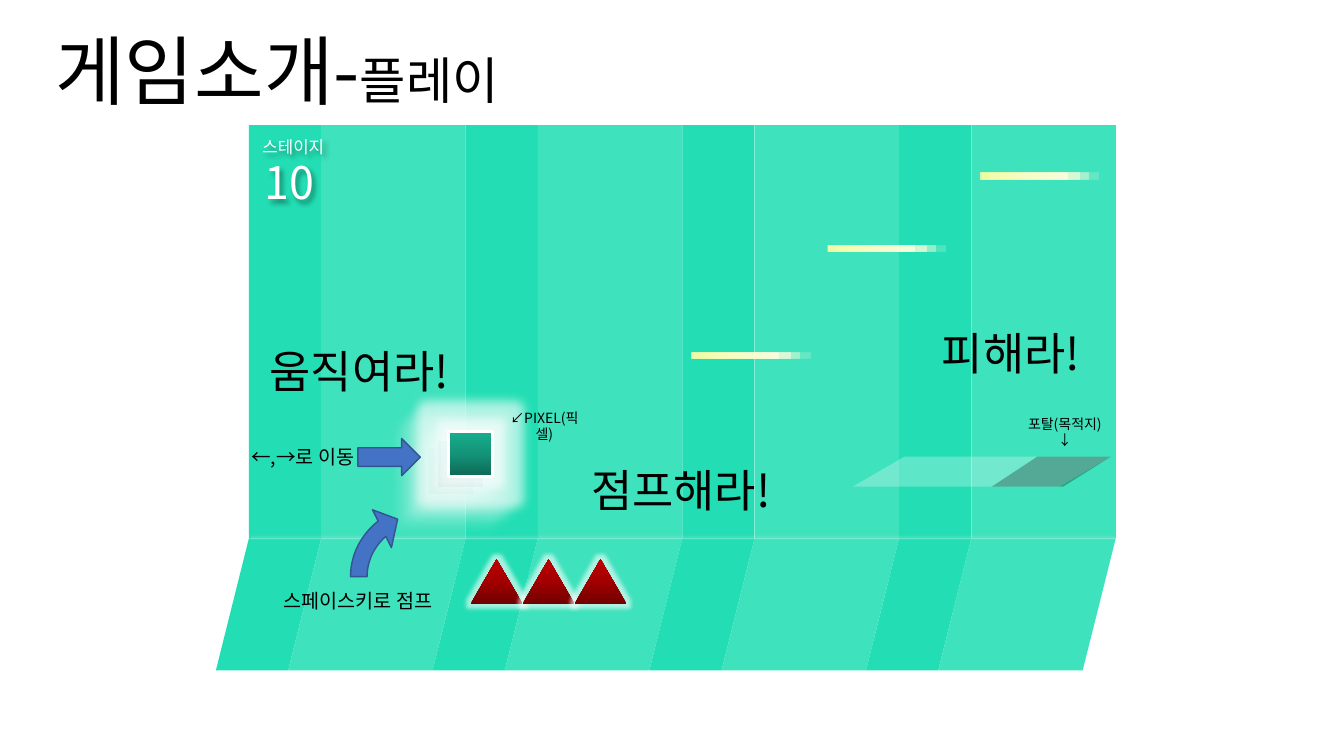
from lxml import etree
from pptx import Presentation
from pptx.dml.color import RGBColor
from pptx.enum import shapes as kinds, text
from pptx.oxml import ns
from pptx.util import Pt

FONT = "Noto Sans CJK KR"
BLACK = RGBColor(0x00, 0x00, 0x00)
WHITE = RGBColor(0xFF, 0xFF, 0xFF)
DARK_MINT = RGBColor(0x23, 0xDE, 0xB4)
LIGHT_MINT = RGBColor(0x3E, 0xE2, 0xBD)
ARROW_BLUE = RGBColor(0x44, 0x72, 0xC4)
ARROW_EDGE = RGBColor(0x32, 0x54, 0x91)
PIXEL_GREENS = (RGBColor(0x0E, 0x68, 0x54), RGBColor(0x13, 0x93, 0x77), RGBColor(0x17, 0xAF, 0x8E))
SPIKE_REDS = (RGBColor(0x72, 0x00, 0x00), RGBColor(0xA2, 0x00, 0x00), RGBColor(0xC0, 0x00, 0x00))
BEAM_YELLOWS = (RGBColor(0xFF, 0xFF, 0xA0), RGBColor(0xFF, 0xFF, 0xC5), RGBColor(0xFF, 0xFF, 0xE3))
PRESET = kinds.MSO_SHAPE


def add_color(parent, color, alpha):
    """Append a colour with its opacity in percent."""
    element = etree.SubElement(parent, ns.qn("a:srgbClr"), val=str(color))
    if alpha < 100:
        etree.SubElement(element, ns.qn("a:alpha"), val=str(alpha * 1000))


def add_effect(shape, kind, color, alpha, **settings):
    """Give a shape a glow or an outer shadow."""
    shape.shadow.inherit = False
    effects = shape._element.spPr.find(ns.qn("a:effectLst"))
    effect = etree.SubElement(effects, ns.qn("a:" + kind), {k: str(v) for k, v in settings.items()})
    add_color(effect, color, alpha)


def paint(shape, color, alpha=100):
    """Fill a shape with one colour and remove its outline and shadow."""
    shape.shadow.inherit = False
    shape.line.fill.background()
    shape.fill.solid()
    shape.fill.fore_color.rgb = color
    fill = shape._element.spPr.find(ns.qn("a:solidFill"))
    fill.remove(fill[0])
    add_color(fill, color, alpha)


def paint_gradient(shape, colors, angle, alpha=100):
    """Fill a shape with evenly spaced gradient stops."""
    shape.shadow.inherit = False
    shape.line.fill.background()
    shape.fill.gradient()
    shape.fill.gradient_angle = angle
    stops = shape._element.spPr.find(ns.qn("a:gradFill")).find(ns.qn("a:gsLst"))
    for stop in list(stops):
        stops.remove(stop)
    for index, color in enumerate(colors):
        stop = etree.SubElement(stops, ns.qn("a:gs"), pos=str(index * 50000))
        add_color(stop, color, alpha)


def add_preset(shapes, kind, left, top, width, height):
    """Add a preset shape measured in points."""
    return shapes.add_shape(kind, Pt(left), Pt(top), Pt(width), Pt(height))


def add_outline(shapes, points):
    """Add a closed polygon measured in points."""
    corners = [(Pt(x), Pt(y)) for x, y in points]
    builder = shapes.build_freeform(*corners[0], scale=1.0)
    builder.add_line_segments(corners[1:], close=True)
    return builder.convert_to_shape()


def write_runs(paragraph, runs, color):
    """Write centred runs given as wording and size."""
    paragraph.alignment = text.PP_ALIGN.CENTER
    for wording, size in runs:
        run = paragraph.add_run()
        run.text = wording
        run.font.size = Pt(size)
        run.font.name = FONT
        run.font.color.rgb = color
        etree.SubElement(run._r.get_or_add_rPr(), ns.qn("a:ea"), typeface=FONT)


def add_label(slide, box, lines, size, color=BLACK, wrap=False):
    """Add a centred label with one paragraph for each line."""
    label = slide.shapes.add_textbox(*map(Pt, box))
    frame = label.text_frame
    frame.word_wrap = wrap
    for index, line in enumerate(lines):
        paragraph = frame.add_paragraph() if index else frame.paragraphs[0]
        write_runs(paragraph, [(line, size)], color)
    return label


def add_title(slide, box):
    """Place the slide title in the given box."""
    title = slide.shapes.title
    title.left, title.top, title.width, title.height = map(Pt, box)
    title.text_frame.word_wrap = False
    title.text_frame.vertical_anchor = text.MSO_ANCHOR.TOP
    write_runs(title.text_frame.paragraphs[0], [("게임소개-", 54), ("플레이", 36)], BLACK)


def add_stage(slide, box):
    """Draw the striped wall and the slanted floor below it."""
    left, top, width, height = box
    group = slide.shapes.add_group_shape().shapes
    unit, slant = width / 12, 23.6
    floor = top + height * 0.758
    bottom = top + height
    for pair in range(4):
        start = left + pair * 3 * unit
        for x, span, color in ((start, unit, DARK_MINT), (start + unit, 2 * unit, LIGHT_MINT)):
            paint(add_preset(group, PRESET.RECTANGLE, x, top, span, floor - top), color)
            corners = [(x, floor), (x + span, floor), (x + span - slant, bottom), (x - slant, bottom)]
            paint(add_outline(group, corners), color)
    paint(add_preset(group, PRESET.RECTANGLE, left + 1.4, floor - 2, width - 1.4, 2.9), WHITE, 10)


def add_pixel(slide, box):
    """Draw the glowing player square with its fading trail."""
    left, top, width, height = box
    group = slide.shapes.add_group_shape().shapes
    for dx, dy, alpha in ((-18.7, 18.7, 5), (-13.7, 12.2, 15), (-7.2, 7.2, 25), (0, 0, 100)):
        square = add_preset(group, PRESET.RECTANGLE, left + dx, top + dy, width, height)
        paint_gradient(square, PIXEL_GREENS, 90, alpha)
        add_effect(square, "glow", WHITE, 60 if alpha == 100 else alpha, rad=Pt(14))
    square.line.color.rgb = WHITE
    square.line.width = Pt(2.25)


def add_spikes(slide, box):
    """Draw a row of three glowing red spikes."""
    left, top, width, height = box
    for index in range(3):
        spike = add_preset(slide.shapes, PRESET.ISOSCELES_TRIANGLE,
                           left + index * width / 3, top, width / 3, height)
        paint_gradient(spike, SPIKE_REDS, 90)
        add_effect(spike, "glow", WHITE, 60, rad=Pt(6))


def add_beam(slide, box):
    """Draw a yellow beam whose right end fades out."""
    left, top, width, height = box
    group = slide.shapes.add_group_shape().shapes
    for offset, span, alpha in ((7.5, 70, 40), (14.7, 70, 20), (0.7, 70, 60), (0, 62.5, 80)):
        bar = add_preset(group, PRESET.RECTANGLE, left + offset, top, width * span / 84.7, height)
        paint_gradient(bar, BEAM_YELLOWS, 0, alpha)


def add_portal(slide, box):
    """Draw the flat platform with the dark portal at its right end."""
    left, top, width, height = box
    right, bottom = left + width, top + height
    group = slide.shapes.add_group_shape().shapes
    paint(add_preset(group, PRESET.FLOWCHART_DATA, *box), WHITE, 27)
    corners = [(right - 85, bottom), (right - 52.5, top), (right, top), (right - 34, bottom)]
    paint(add_outline(group, corners), BLACK, 27)


def add_arrow(slide, kind, box, adjustments=()):
    """Draw a blue control arrow."""
    arrow = add_preset(slide.shapes, kind, *box)
    for index, value in enumerate(adjustments):
        arrow.adjustments[index] = value
    paint(arrow, ARROW_BLUE)
    arrow.line.color.rgb = ARROW_EDGE
    arrow.line.width = Pt(1)


def add_stage_counter(slide, box):
    """Write the shadowed stage caption and number."""
    left, top, width, height = box
    caption = add_label(slide, (left, top, width, 21.6), ["스테이지"], 12, WHITE)
    number = add_label(slide, (left + 3.6, top + 13, 50.4, height - 13), ["10"], 32, WHITE)
    for label in (caption, number):
        add_effect(label, "outerShdw", BLACK, 40, blurRad=Pt(4), dist=Pt(3), dir=2700000)


def build_play_slide(presentation):
    """Build the slide that explains how the game is played."""
    slide = presentation.slides.add_slide(presentation.slide_layouts[5])
    add_title(slide, (15.8, 13.7, 364.3, 72.7))
    add_stage(slide, (177.8, 89.3, 619.2, 389.5))
    add_pixel(slide, (320.4, 308.2, 31.7, 32.4))
    add_spikes(slide, (336.2, 399.6, 111.3, 31.7))
    for left, top, width, wording in ((180, 242, 153.4, "움직여라!"), (409.7, 327, 153.4, "점프해라!"),
                                      (661.7, 229, 121, "피해라!")):
        add_label(slide, (left, top, width, 46), [wording], 32)
    for left, top in ((700.2, 123.6), (591, 175.2), (493.9, 251.7)):
        add_beam(slide, (left, top, 84.7, 4.6))
    add_portal(slide, (609.1, 326.2, 184.3, 21.4))
    add_arrow(slide, PRESET.CIRCULAR_ARROW, (241.2, 351.4, 126.7, 121),
              (0.098, 9.775, 136.327, 108, 0.125))
    add_label(slide, (189.4, 416.9, 132.5, 24.5), ["스페이스키로 점프"], 14)
    add_arrow(slide, PRESET.RIGHT_ARROW, (255.6, 313.2, 44.6, 26.6))
    add_label(slide, (170.6, 314.6, 91.4, 24.5), ["←,→로 이동"], 14, wrap=True)
    add_label(slide, (351.4, 288.7, 74.9, 19.4), ["↙PIXEL(픽셀)"], 10, wrap=True)
    add_stage_counter(slide, (177.8, 94.3, 63.4, 59))
    add_label(slide, (725, 293, 71.3, 31.7), ["포탈(목적지)", "↓"], 10, wrap=True)


def main():
    """Create and save the presentation."""
    presentation = Presentation()
    presentation.slide_width, presentation.slide_height = Pt(960), Pt(540)
    build_play_slide(presentation)
    presentation.save("out.pptx")


if __name__ == "__main__":
    main()
